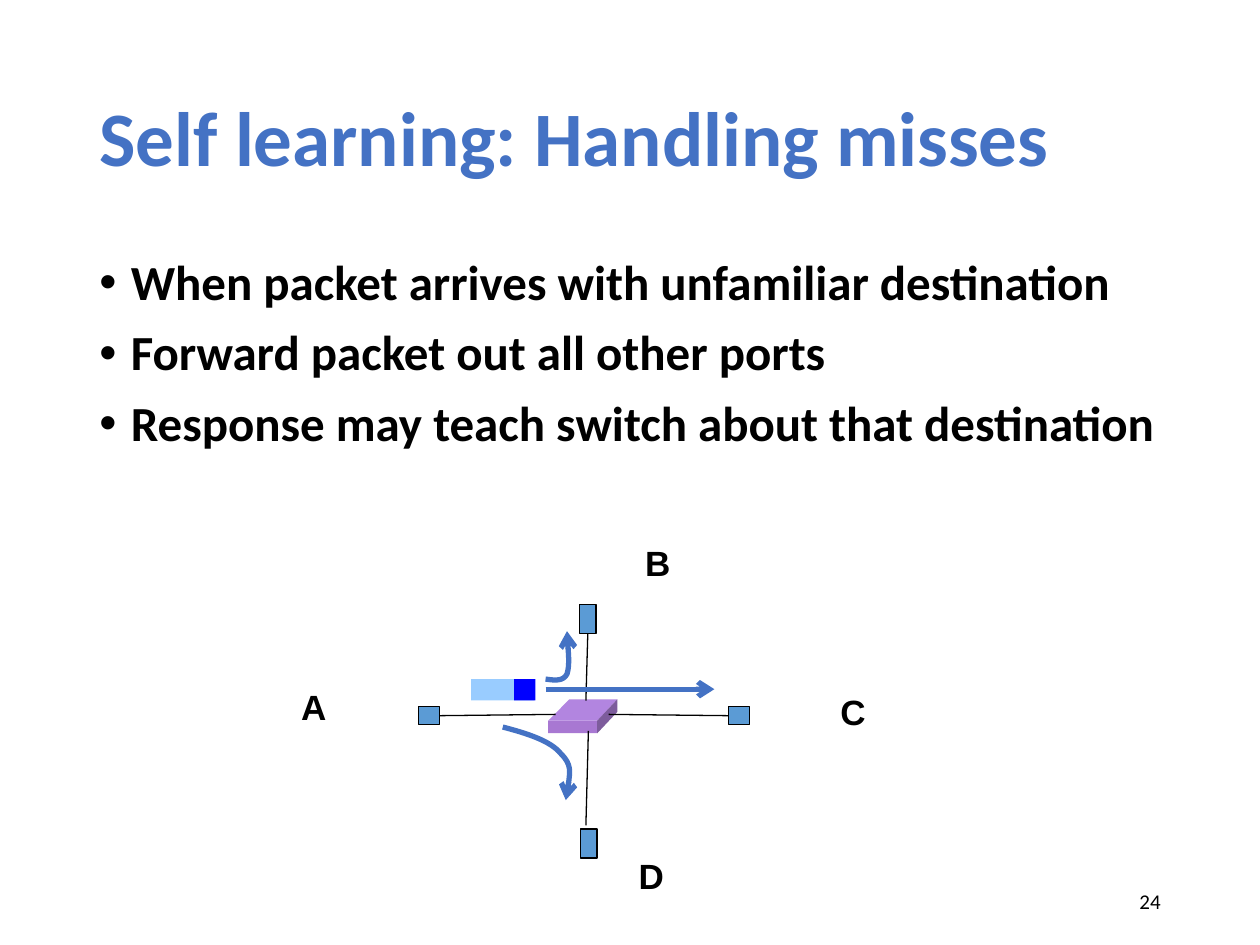
from lxml import etree
from pptx import Presentation
from pptx import util as u
from pptx.dml.color import RGBColor
from pptx.enum import shapes, text
from pptx.oxml import ns

BLUE, BLACK, HOST = "4472C4", "000000", "5B9BD5"
TITLE = {"name": "Calibri", "size": u.Pt(44), "bold": True}
BODY = {"name": "Calibri", "size": u.Pt(28), "bold": True}
LABEL = {"name": "Arial", "size": u.Pt(20), "bold": True}
NUMBER = {"name": "Calibri", "size": u.Pt(12), "bold": False}


def color(value):
    return RGBColor.from_string(value)


def inches(*values):
    return [u.Inches(value) for value in values]


def apply(target, values):
    for name, value in values.items():
        setattr(target, name, value)


def add_bullet(para):
    properties = para._p.get_or_add_pPr()
    apply_indent = {"marL": u.Inches(0.25), "indent": u.Inches(-0.25)}
    for name, value in apply_indent.items():
        properties.set(name, str(value))
    etree.SubElement(properties, ns.qn("a:buFont"), typeface="Arial")
    etree.SubElement(properties, ns.qn("a:buChar"), char="•")


def add_text(page, place, lines, font, fill=BLACK, layout=None, frame=None, bullet=False):
    box = page.shapes.add_textbox(*inches(*place))
    apply(box.text_frame, {"word_wrap": True, **(frame or {})})
    for index, line in enumerate(lines):
        para = box.text_frame.paragraphs[0] if index == 0 else box.text_frame.add_paragraph()
        para.text = line
        apply(para, layout or {})
        if index:
            para.space_before = u.Pt(10)
        if bullet:
            add_bullet(para)
        apply(para.font, font)
        para.font.color.rgb = color(fill)


def paint(shape, fill, outline=None):
    shape.shadow.inherit = False
    shape.fill.solid()
    shape.fill.fore_color.rgb = color(fill)
    if outline:
        shape.line.color.rgb = color(outline)
        shape.line.width = u.Pt(0.75)
    else:
        shape.line.fill.background()


def add_rect(page, place, fill, outline=None):
    rect = page.shapes.add_shape(shapes.MSO_SHAPE.RECTANGLE, *inches(*place))
    paint(rect, fill, outline)
    return rect


def add_face(page, points, fill):
    corners = [inches(*point) for point in points]
    builder = page.shapes.build_freeform(*corners[0])
    builder.add_line_segments(corners[1:], close=True)
    paint(builder.convert_to_shape(), fill)


def add_arrowhead(shape):
    etree.SubElement(shape.line._get_or_add_ln(), ns.qn("a:tailEnd"), type="arrow")


def add_line(page, start, end, stroke=BLACK, width=0.75, host=None, site=None):
    line = page.shapes.add_connector(shapes.MSO_CONNECTOR.STRAIGHT, *inches(*start, *end))
    apply(line.line, {"width": u.Pt(width)})
    line.line.color.rgb = color(stroke)
    etree.SubElement(line._element.spPr, ns.qn("a:effectLst"))
    if host is not None:
        line.begin_connect(host, site)
    return line


def add_curved_arrow(page, points):
    knots = [inches(*point) for point in points]
    builder = page.shapes.build_freeform(*knots[0])
    builder.add_line_segments(knots[1:], close=False)
    curve = builder.convert_to_shape()
    outline = curve._element.find(".//" + ns.qn("a:path"))
    segments = outline.findall(ns.qn("a:lnTo"))
    for first in range(0, len(segments), 3):
        bezier = etree.SubElement(outline, ns.qn("a:cubicBezTo"))
        for segment in segments[first:first + 3]:
            bezier.append(segment[0])
            outline.remove(segment)
    curve.shadow.inherit = False
    curve.fill.background()
    curve.line.color.rgb = color(BLUE)
    curve.line.width = u.Pt(3)
    add_arrowhead(curve)


def add_network(page):
    places = {"A": (3.32, 5.61, 0.17, 0.14), "B": (4.6, 4.8, 0.13, 0.23),
              "C": (5.78, 5.61, 0.17, 0.14), "D": (4.61, 6.58, 0.13, 0.23)}
    hosts = {name: add_rect(page, place, HOST, BLACK) for name, place in places.items()}
    add_line(page, (3.49, 5.67), (4.41, 5.67), host=hosts["A"], site=3)
    add_line(page, (4.65, 5.03), (4.65, 5.56), host=hosts["B"], site=2)
    add_line(page, (5.77, 5.67), (4.83, 5.67), host=hosts["C"], site=1)
    add_line(page, (4.65, 6.55), (4.67, 5.8))
    for name, left, top in (("A", 2.29, 5.39), ("B", 5.02, 4.25),
                            ("C", 6.57, 5.43), ("D", 4.97, 6.73)):
        add_text(page, (left, top, 0.4, 0.43), [name], LABEL,
                 layout={"alignment": text.PP_ALIGN.CENTER}, frame={"word_wrap": False})


def add_switch(page):
    add_rect(page, (4.35, 5.72, 0.39, 0.1), "A878D2")
    add_face(page, [(4.35, 5.72), (4.52, 5.55), (4.9, 5.55), (4.74, 5.72)], "B285E0")
    add_face(page, [(4.74, 5.72), (4.9, 5.55), (4.9, 5.65), (4.74, 5.82)], "7D5C9C")


def add_packet(page):
    add_rect(page, (3.74, 5.39, 0.5, 0.17), "99CCFF")
    add_rect(page, (4.08, 5.39, 0.17, 0.17), "0000FF")
    add_curved_arrow(page, [(4.33, 5.39), (4.4, 5.4), (4.47, 5.41), (4.5, 5.35),
                            (4.52, 5.28), (4.51, 5.15), (4.5, 5.01)])
    add_curved_arrow(page, [(3.99, 5.77), (4.18, 5.82), (4.37, 5.88), (4.45, 5.98),
                            (4.54, 6.07), (4.52, 6.21), (4.49, 6.35)])
    add_arrowhead(add_line(page, (4.33, 5.47), (5.67, 5.47), BLUE, 3))


def main():
    deck = Presentation()
    apply(deck, {"slide_width": u.Inches(10), "slide_height": u.Inches(7.5)})
    page = deck.slides.add_slide(deck.slide_layouts[6])
    middle = {"vertical_anchor": text.MSO_ANCHOR.MIDDLE}
    add_text(page, (0.69, 0.4, 8.62, 1.45), ["Self learning: Handling misses"], TITLE, BLUE,
             {"line_spacing": 0.9}, middle)
    add_text(page, (0.69, 2, 8.62, 4.76),
             ["When packet arrives with unfamiliar destination",
              "Forward packet out all other ports",
              "Response may teach switch about that destination"],
             BODY, layout={"line_spacing": 0.9}, bullet=True)
    add_switch(page)
    add_network(page)
    add_packet(page)
    add_text(page, (7.06, 6.95, 2.25, 0.4), ["24"], NUMBER,
             layout={"alignment": text.PP_ALIGN.RIGHT}, frame=middle)
    deck.save("out.pptx")


if __name__ == "__main__":
    main()
